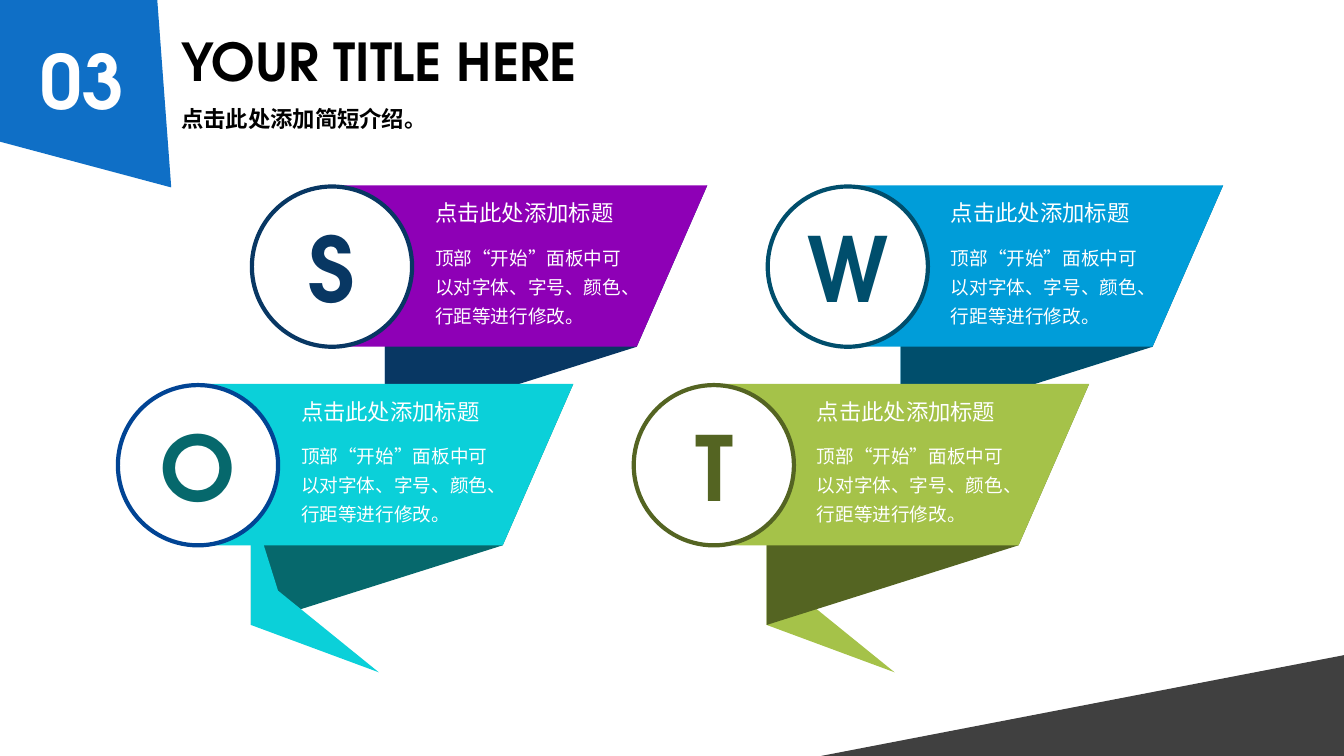
import dataclasses
import typing

import pptx
import pptx.dml.color
import pptx.enum.shapes
import pptx.enum.text
import pptx.util

Inches = pptx.util.Inches
Kind = pptx.enum.shapes.MSO_SHAPE
Align = pptx.enum.text.PP_ALIGN
Anchor = pptx.enum.text.MSO_ANCHOR
Points = list[tuple[float, float]]

FONT = "TeX Gyre Adventor"
HEAD = "点击此处添加标题"
BODY = "顶部“开始”面板中可以对字体、字号、颜色、行距等进行修改。"
COLORS = {
    "white": "FFFFFF", "black": "000000", "gray": "404040", "blue": "0F6FC6",
    "navy": "083763", "purple": "8E00B6", "sky": "009DD9", "deep": "004E6C",
    "aqua": "0BD0D9", "teal": "06686C", "royal": "014494",
    "lime": "A5C249", "olive": "546422",
}

# Ribbon outlines, measured from the top left of the circle
TAIL: Points = [(1.32, 2.39), (2.59, 2.86), (1.59, 2.05), (1.32, 1.19)]
FOLD: Points = [(1.32, 2.39), (3.82, 1.6), (4.52, 0), (1.32, 1.19)]
BAND: Points = [(0.8, 1.6), (3.82, 1.6), (4.52, 0), (0.8, 0)]
BADGE: Points = [(-0.06, -0.07), (1.56, -0.02), (1.7, 1.86), (-0.06, 1.39)]


@dataclasses.dataclass
class Ribbon:
    letter: str
    row: int
    col: int
    band: str
    fold: str
    tail: str
    ring: str
    tail_on_top: bool = False


RIBBONS = [
    Ribbon("S", 0, 0, "purple", "navy", "blue", "navy"),
    Ribbon("W", 0, 1, "sky", "deep", "sky", "deep"),
    Ribbon("O", 1, 0, "aqua", "teal", "aqua", "royal", tail_on_top=True),
    Ribbon("T", 1, 1, "lime", "olive", "lime", "olive"),
]


def rgb(name: str) -> pptx.dml.color.RGBColor:
    return pptx.dml.color.RGBColor.from_string(COLORS[name])


def paint(shape: typing.Any, fill: str, line: str | None = None) -> None:
    shape.shadow.inherit = False
    shape.fill.solid()
    shape.fill.fore_color.rgb = rgb(fill)
    if line:
        shape.line.color.rgb = rgb(line)
        shape.line.width = pptx.util.Pt(3)
    else:
        shape.line.fill.background()


def write(shape: typing.Any, text: str, *, size: float, color: str,
          bold: bool = False, align: Align = Align.LEFT,
          anchor: Anchor = Anchor.MIDDLE, wrap: bool = True,
          space: float = 1, inset: float | None = None) -> None:
    frame = shape.text_frame
    frame.text = text
    frame.auto_size = pptx.enum.text.MSO_AUTO_SIZE.NONE
    frame.word_wrap = wrap
    frame.vertical_anchor = anchor
    if inset is not None:
        frame.margin_left = frame.margin_right = Inches(inset)
        frame.margin_top = frame.margin_bottom = Inches(inset)
    para = frame.paragraphs[0]
    para.alignment = align
    para.line_spacing = space
    font = para.runs[0].font
    font.name, font.size, font.bold = FONT, pptx.util.Pt(size), bold
    font.color.rgb = rgb(color)


def place(shape: typing.Any, *box: float) -> None:
    shape.left, shape.top, shape.width, shape.height = map(Inches, box)


def add_box(shapes: typing.Any, *box: float) -> typing.Any:
    return shapes.add_textbox(*map(Inches, box))


def add_poly(shapes: typing.Any, points: Points, fill: str,
             left: float = 0, top: float = 0) -> None:
    first, *rest = [(Inches(left + x), Inches(top + y)) for x, y in points]
    form = shapes.build_freeform(*first)
    form.add_line_segments(rest, close=True)
    paint(form.convert_to_shape(), fill)


def add_ribbon(slide: typing.Any, item: Ribbon) -> None:
    left = 2.5 + 5.12 * item.col - 1.33 * item.row
    top = 1.84 + 1.97 * item.row
    shapes = slide.shapes.add_group_shape().shapes

    # Folded paper, from back to front
    parts = [(TAIL, item.tail), (FOLD, item.fold)]
    if item.tail_on_top:
        parts.reverse()
    for points, fill in parts + [(BAND, item.band)]:
        add_poly(shapes, points, fill, left, top)

    # Letter in a ring
    ring = shapes.add_shape(
        Kind.OVAL, *map(Inches, (left, top + 0.01, 1.59, 1.59)))
    paint(ring, "white", item.ring)
    write(ring, item.letter, size=64, color=item.fold, bold=True,
          align=Align.CENTER, inset=0)

    # Words on the band
    write(add_box(shapes, left + 1.72, top + 0.49, 2.13, 0.98), BODY,
          size=13.3, color="white", anchor=Anchor.TOP, space=1.3)
    write(add_box(shapes, left + 1.72, top + 0.01, 2, 0.45), HEAD,
          size=16, color="white", anchor=Anchor.TOP, space=1.3, wrap=False)


def main() -> None:
    deck = pptx.Presentation()
    deck.slide_width, deck.slide_height = Inches(13.34), Inches(7.5)
    slide = deck.slides.add_slide(deck.slide_layouts[5])
    shapes = slide.shapes

    # Corner shapes
    add_poly(shapes, BADGE, "blue")
    corner = shapes.add_shape(
        Kind.RIGHT_TRIANGLE, *map(Inches, (8.15, 6.5, 5.19, 1)))
    corner._element.spPr.get_or_add_xfrm().set("flipH", "1")
    paint(corner, "gray")

    # Number, title and subtitle
    write(add_box(shapes, 0.11, 0.03, 1.42, 1.53), "03", size=53.3,
          color="white", bold=True, align=Align.CENTER)
    place(shapes.title, 1.7, 0.19, 4.62, 0.82)
    write(shapes.title, "YOUR TITLE HERE", size=37.3, color="black", bold=True)
    write(add_box(shapes, 1.7, 1.02, 4.62, 0.31), "点击此处添加简短介绍。",
          size=16, color="black", bold=True)

    for item in RIBBONS:
        add_ribbon(slide, item)
    deck.save("out.pptx")


if __name__ == "__main__":
    main()
